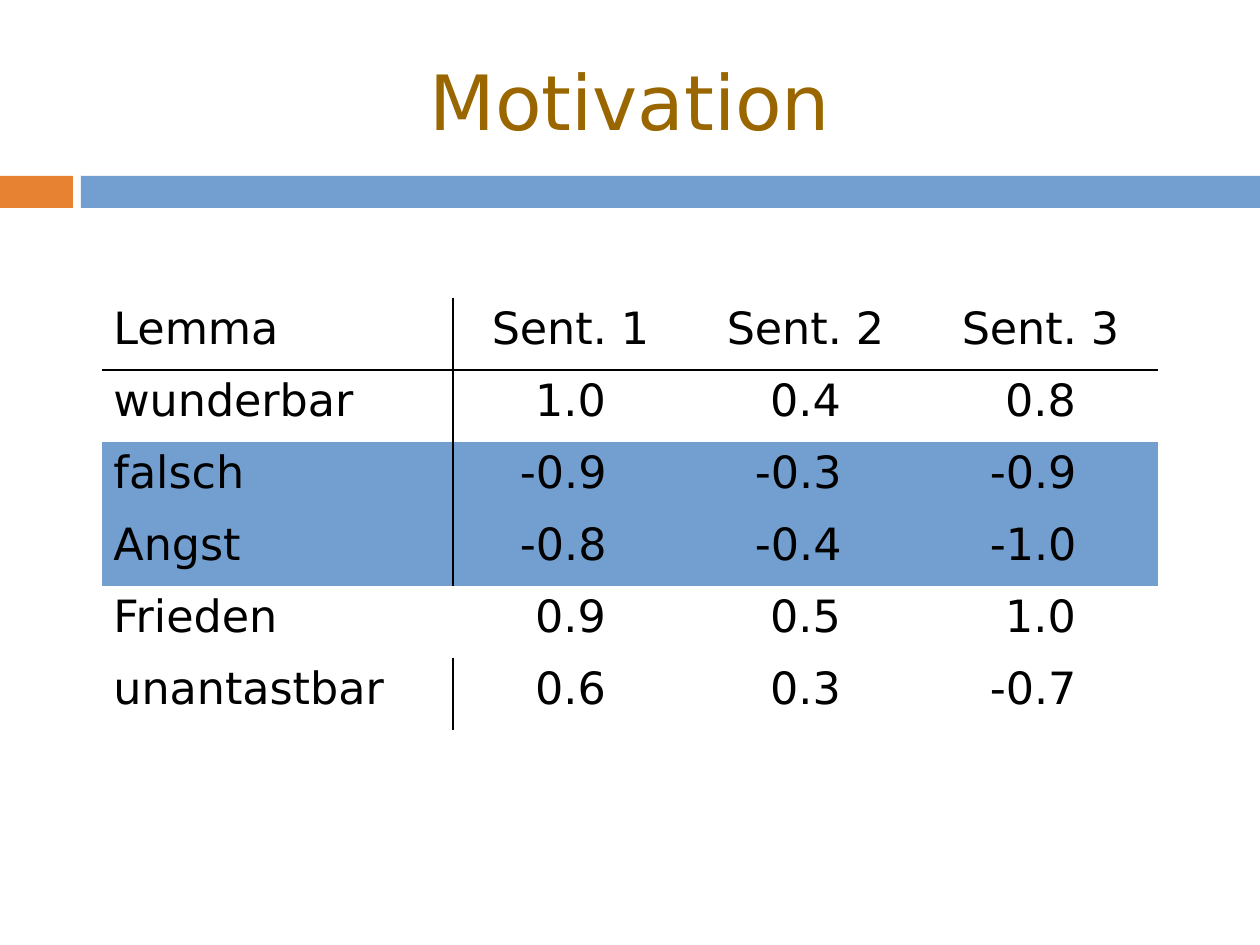
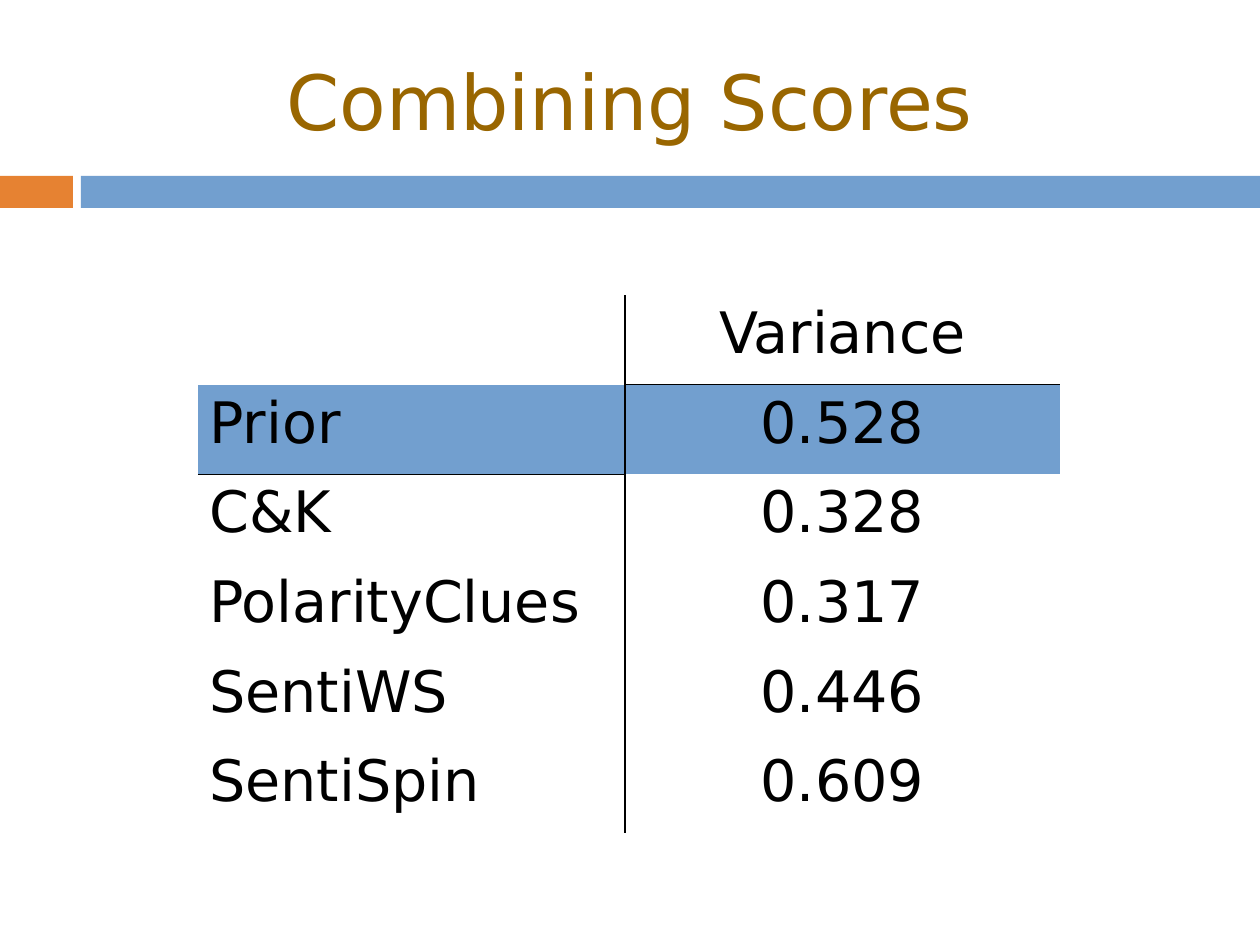
from lxml.etree import SubElement
from pptx import Presentation
from pptx.dml.color import RGBColor
from pptx.enum.shapes import MSO_SHAPE as SHAPE
from pptx.enum.text import MSO_ANCHOR as ANCHOR, MSO_AUTO_SIZE as AUTO_SIZE, PP_ALIGN as ALIGN
from pptx.oxml.ns import qn
from pptx.util import Emu, Pt

EMU_PER_PX = 8000
NO_STYLE_NO_GRID = "{2D5ABB26-0587-4C30-8999-92F81FD0307C}"


def px(n):
    return Emu(n * EMU_PER_PX)


def rgb(color):
    return RGBColor.from_string(color)


class Deck:
    FONT = "DejaVu Sans"
    BLACK, WHITE = "000000", "FFFFFF"
    BROWN, ORANGE, BLUE = "996600", "E68232", "729FCF"
    WIDTH, HEIGHT = 1260, 945
    TITLE_SIZE = 48
    RULE_WIDTH = 1.13
    MINUS_MARGIN = 26

    def __init__(self):
        self.prs = Presentation()
        self.prs.slide_width, self.prs.slide_height = px(self.WIDTH), px(self.HEIGHT)
        self.s = None

    def slide(self, title):
        self.s = self.prs.slides.add_slide(self.prs.slide_layouts[5])
        self.band(0, 73, self.ORANGE)
        self.band(81, self.WIDTH - 81, self.BLUE)
        self.title(title)

    def band(self, left, width, color):
        sp = self.s.shapes.add_shape(SHAPE.RECTANGLE, px(left), px(176), px(width), px(32))
        sp.shadow.inherit = False
        sp.fill.solid()
        sp.fill.fore_color.rgb = rgb(color)
        sp.line.fill.background()

    def title(self, text):
        sp = self.s.shapes.title
        sp.left, sp.top, sp.width, sp.height = px(0), px(38), px(self.WIDTH), px(125)
        tf = sp.text_frame
        tf.text = text
        tf.word_wrap = True
        tf.auto_size = AUTO_SIZE.NONE
        tf.vertical_anchor = ANCHOR.MIDDLE
        tf.margin_left = tf.margin_right = tf.margin_top = tf.margin_bottom = 0
        self.format(tf.paragraphs[0], self.TITLE_SIZE, self.BROWN, ALIGN.CENTER)

    def format(self, p, size, color, align):
        p.alignment = align
        for r in p.runs:
            r.font.name = self.FONT
            r.font.size = Pt(size)
            r.font.color.rgb = rgb(color)

    def table(self, left, top, height, widths, rows, size, shaded, divided, underlined):
        """Rows in shaded are blue, rows in divided have a line after column 0,
        and (row, column) pairs in underlined have a line below."""
        frame = self.s.shapes.add_table(len(rows), len(widths), px(left), px(top),
                                        px(sum(widths)), px(height))
        for style in frame.element.iter(qn("a:tableStyleId")):
            style.text = NO_STYLE_NO_GRID
        table = frame.table
        table.first_row = table.horz_banding = False
        for column, width in zip(table.columns, widths):
            column.width = px(width)
        for i, row in enumerate(rows):
            table.rows[i].height = Emu(px(height) // len(rows))
            for j, text in enumerate(row):
                cell = table.cell(i, j)
                self.cell_text(cell, text, size, ALIGN.CENTER if j else ALIGN.LEFT)
                if j == 0 and i in divided:
                    self.border(cell, "a:lnR")
                if (i, j) in underlined:
                    self.border(cell, "a:lnB")
                cell.fill.solid()
                cell.fill.fore_color.rgb = rgb(self.BLUE if i in shaded else self.WHITE)

    def cell_text(self, cell, text, size, align):
        """A wider right margin lines negative numbers up with positive ones."""
        cell.text_frame.text = text
        self.format(cell.text_frame.paragraphs[0], size, self.BLACK, align)
        if text.startswith("-"):
            cell.margin_right = px(self.MINUS_MARGIN)

    def border(self, cell, side):
        """Sides must be added in schema order and before the cell's fill."""
        tcPr = cell._tc.get_or_add_tcPr()
        ln = SubElement(tcPr, qn(side), w=str(Pt(self.RULE_WIDTH)))
        fill = SubElement(ln, qn("a:solidFill"))
        SubElement(fill, qn("a:srgbClr"), val=self.BLACK)


def main():
    deck = Deck()

    deck.slide("Motivation")
    scores = [
        ("Lemma", "Sent. 1", "Sent. 2", "Sent. 3"),
        ("wunderbar", "1.0", "0.4", "0.8"),
        ("falsch", "-0.9", "-0.3", "-0.9"),
        ("Angst", "-0.8", "-0.4", "-1.0"),
        ("Frieden", "0.9", "0.5", "1.0"),
        ("unantastbar", "0.6", "0.3", "-0.7"),
    ]
    deck.table(102, 298, 432, [351, 235, 235, 235], scores, 28, shaded={2, 3},
               divided={0, 1, 2, 3, 5}, underlined={(0, j) for j in range(4)})

    deck.slide("Combining Scores")
    variances = [
        ("", "Variance"),
        ("Prior", "0.528"),
        ("C&K", "0.328"),
        ("PolarityClues", "0.317"),
        ("SentiWS", "0.446"),
        ("SentiSpin", "0.609"),
    ]
    deck.table(198, 295, 538, [427, 435], variances, 36, shaded={1},
               divided=range(6), underlined={(0, 1), (1, 0)})

    deck.prs.save("out.pptx")


if __name__ == "__main__":
    main()
